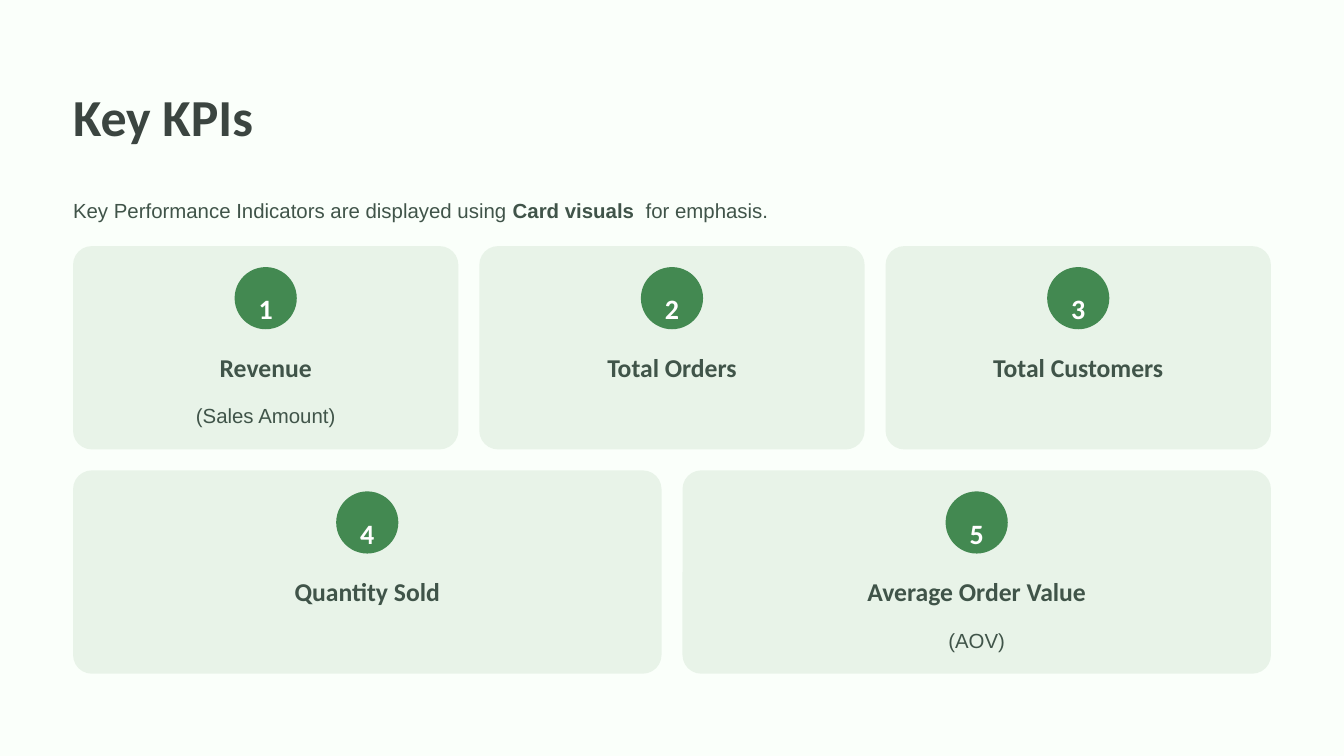
from pptx import Presentation
from pptx.dml.color import RGBColor
from pptx.enum.shapes import MSO_SHAPE
from pptx.enum.text import MSO_ANCHOR, MSO_AUTO_SIZE, PP_ALIGN
from pptx.util import Inches, Pt

ROUNDED, OVAL = MSO_SHAPE.ROUNDED_RECTANGLE, MSO_SHAPE.OVAL
LEFT, CENTER = PP_ALIGN.LEFT, PP_ALIGN.CENTER
TOP, NO_FIT = MSO_ANCHOR.TOP, MSO_AUTO_SIZE.NONE

COLORS = {
    "page": "FAFFFA",
    "card": "E8F3E8",
    "badge": "438951",
    "title": "3B4540",
    "body": "405449",
    "number": "FFFFFF",
}

# Card grid, in inches
MARGIN, GAP = 0.87, 0.25
CONTENT_W = 16 - 2 * MARGIN
ROWS_TOP, CARD_H = 2.93, 2.42
BADGE = 0.74

CARD_ROWS = [
    [("Revenue", "(Sales Amount)"), ("Total Orders", ""), ("Total Customers", "")],
    [("Quantity Sold", ""), ("Average Order Value", "(AOV)")],
]


def rgb(name):
    return RGBColor.from_string(COLORS[name])


def write(s, runs, size=17.5, font="Arial", color="body", spacing=28.5, align=LEFT):
    """Fill a shape with one paragraph made of (text, bold) runs."""
    tf = s.text_frame
    tf.word_wrap = True
    tf.auto_size = NO_FIT
    tf.vertical_anchor = TOP
    tf.margin_left = tf.margin_top = tf.margin_right = tf.margin_bottom = 0
    p = tf.paragraphs[0]
    p.alignment = align
    p.line_spacing = Pt(spacing)
    p.space_before = Pt(0)
    for text, bold in runs:
        r = p.add_run()
        r.text = text
        r.font.name, r.font.size, r.font.bold = font, Pt(size), bold
        r.font.color.rgb = rgb(color)


def add_text(slide, x, y, w, h, runs, **fmt):
    box = slide.shapes.add_textbox(Inches(x), Inches(y), Inches(w), Inches(h))
    write(box, runs, **fmt)


def add_block(slide, kind, x, y, w, h, color):
    s = slide.shapes.add_shape(kind, Inches(x), Inches(y), Inches(w), Inches(h))
    s.shadow.inherit = False
    s.fill.solid()
    s.fill.fore_color.rgb = rgb(color)
    s.line.fill.background()
    return s


def add_title(slide, text):
    s = slide.shapes.title
    s.left, s.top, s.width, s.height = map(Inches, (MARGIN, 0.98, 6.2, 0.78))
    write(s, [(text, True)], size=44.5, font="Calibri", color="title", spacing=55.5)


def add_card(slide, x, y, w, number, label, note):
    def centered(top, width, height, text, bold, **fmt):
        add_text(slide, x + (w - width) / 2, y + top, width, height,
                 [(text, bold)], align=CENTER, **fmt)

    card = add_block(slide, ROUNDED, x, y, w, CARD_H, "card")
    card.adjustments[0] = 0.092
    add_block(slide, OVAL, x + (w - BADGE) / 2, y + GAP, BADGE, BADGE, "badge")
    centered(0.41, 0.33, 0.42, str(number), True,
             size=24, font="Calibri", color="number", spacing=38.5)
    centered(1.24, 3.2, 0.39, label, True, size=22, font="Calibri", spacing=27.5)
    if note:
        centered(1.77, w - 2 * GAP, 0.4, note, False)


def add_cards(slide):
    number = 1
    for row, cards in enumerate(CARD_ROWS):
        w = (CONTENT_W - GAP * (len(cards) - 1)) / len(cards)
        y = ROWS_TOP + row * (CARD_H + GAP)
        for col, (label, note) in enumerate(cards):
            add_card(slide, MARGIN + col * (w + GAP), y, w, number, label, note)
            number += 1


def main():
    prs = Presentation()
    prs.slide_width, prs.slide_height = Inches(16), Inches(9)
    slide = prs.slides.add_slide(prs.slide_layouts[5])
    slide.background.fill.solid()
    slide.background.fill.fore_color.rgb = rgb("page")

    add_title(slide, "Key KPIs")
    add_text(slide, MARGIN, 2.25, CONTENT_W, 0.4, [
        ("Key Performance Indicators are displayed using ", False),
        ("Card visuals ", True),
        (" for emphasis.", False),
    ])
    add_cards(slide)
    prs.save("out.pptx")


if __name__ == "__main__":
    main()
